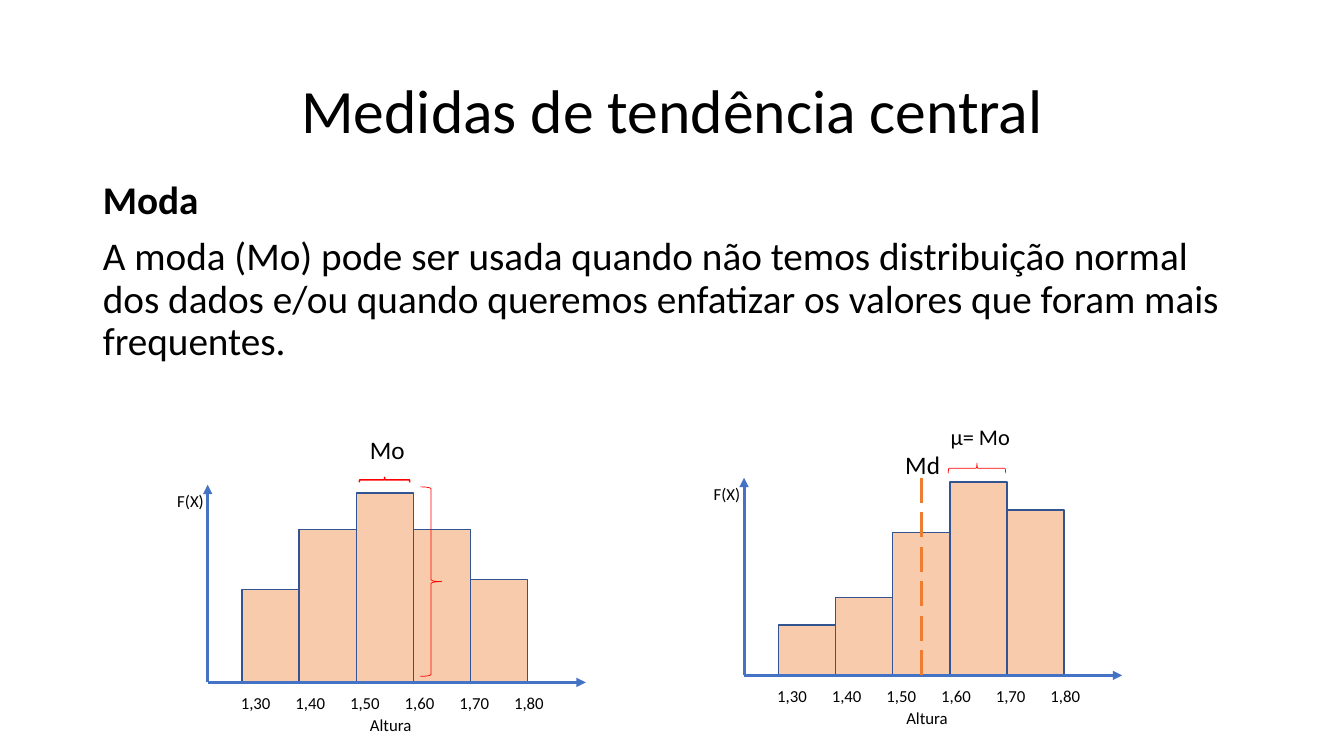
from lxml import etree
from pptx import Presentation
from pptx import util as u
from pptx.dml.color import RGBColor
from pptx.enum import dml, shapes, text
from pptx.oxml.ns import qn

TITLE = "Medidas de tendência central"
BODY = [
    ("Moda", True),
    ("A moda (Mo) pode ser usada quando não temos distribuição normal dos dados "
     "e/ou quando queremos enfatizar os valores que foram mais frequentes.", False),
]
HEIGHTS = ["1,30", "1,40", "1,50", "1,60", "1,70", "1,80"]
HISTOGRAMS = [
    {"origin": (7.38, 6.7), "bars": [0.5, 0.77, 1.42, 1.92, 1.64]},
    {"origin": (2.06, 6.77), "bars": [0.92, 1.52, 1.88, 1.52, 1.02]},
]
BRACES = [
    ((9.64, 4.36, 0.1, 0.57), 270, 0.5),
    ((3.79, 4.51, 0.05, 0.5), 270, 1),
    ((4.17, 4.83, 0.21, 1.88), 0, 0.5),
]
MARKS = [
    ("µ= Mo", (9.33, 4.15, 0.8, 0.37), 16),
    ("Md", (8.88, 4.41, 0.55, 0.4), 18),
    ("Mo", (3.57, 4.26, 0.55, 0.4), 18),
]
MEDIAN = (9.14, 6.7, 9.14, 4.7)

FONT, BLACK = "Calibri", "000000"
AXIS, BAR, BAR_EDGE, RED, ORANGE = "4472C4", "F8CBAD", "325491", "FF0000", "ED7D31"
AXIS_WIDTH, AXIS_HEIGHT = 3.75, 1.96
BAR_START, BAR_WIDTH = 0.34, 0.567
TICK_START, TICK_STEP = 0.23, 0.542


def inches(lengths):
    return [u.Inches(length) for length in lengths]


def rgb(value):
    return RGBColor.from_string(value)


def style(paragraph, size, bold=False):
    paragraph.font.name = FONT
    paragraph.font.size = u.Pt(size)
    paragraph.font.bold = bold
    paragraph.font.color.rgb = rgb(BLACK)


def outline(part, color, width):
    part.line.color.rgb = rgb(color)
    part.line.width = u.Pt(width)


def add_label(parent, words, box, size=12):
    label = parent.add_textbox(*inches(box))
    frame = label.text_frame
    frame.word_wrap = False
    frame.auto_size = text.MSO_AUTO_SIZE.SHAPE_TO_FIT_TEXT
    frame.text = words
    style(frame.paragraphs[0], size)


def add_line(parent, ends, color, arrow=False):
    line = parent.add_connector(shapes.MSO_CONNECTOR.STRAIGHT, *inches(ends))
    outline(line, color, 2.25)
    properties = line._element.spPr
    if arrow:
        etree.SubElement(properties.find(qn("a:ln")), qn("a:tailEnd"), type="triangle")
    etree.SubElement(properties, qn("a:effectLst"))
    return line


def add_preset(parent, preset, box, edge, width, fill=None):
    part = parent.add_shape(preset, *inches(box))
    part.shadow.inherit = False
    if fill:
        part.fill.solid()
        part.fill.fore_color.rgb = rgb(fill)
    else:
        part.fill.background()
    outline(part, edge, width)
    return part


def add_histogram(slide, origin, bars):
    x, y = origin
    group = slide.shapes.add_group_shape().shapes
    add_line(group, (x, y, x, y - AXIS_HEIGHT), AXIS, arrow=True)
    for i, height in enumerate(HEIGHTS):
        add_label(group, height, (x + TICK_START + i * TICK_STEP, y + 0.05, 0.5, 0.3))
    for i, bar in enumerate(bars):
        box = (x + BAR_START + i * BAR_WIDTH, y - bar, BAR_WIDTH, bar)
        add_preset(group, shapes.MSO_SHAPE.RECTANGLE, box, BAR_EDGE, 1, BAR)
    add_line(group, (x, y, x + AXIS_WIDTH, y), AXIS, arrow=True)
    add_label(group, "F(X)", (x - 0.4, y - 1.95, 0.47, 0.3))
    add_label(group, "Altura", (x + 1.51, y + 0.27, 0.62, 0.3))


def place(holder, box, anchor):
    holder.left, holder.top, holder.width, holder.height = inches(box)
    holder.text_frame.vertical_anchor = anchor
    holder.text_frame.auto_size = text.MSO_AUTO_SIZE.NONE
    return holder.text_frame


def main():
    deck = Presentation()
    deck.slide_width, deck.slide_height = inches((13.33, 7.5))
    slide = deck.slides.add_slide(deck.slide_layouts[1])

    title = place(slide.shapes.title, (0.92, 0.4, 11.5, 1.45), text.MSO_ANCHOR.MIDDLE)
    title.text = TITLE
    title.paragraphs[0].alignment = text.PP_ALIGN.CENTER
    title.paragraphs[0].line_spacing = 0.9
    style(title.paragraphs[0], 44)

    body = place(slide.placeholders[1], (0.92, 1.74, 11.5, 2.65), text.MSO_ANCHOR.TOP)
    body.text = "\n".join(words for words, _ in BODY)
    for i, (paragraph, (_, bold)) in enumerate(zip(body.paragraphs, BODY)):
        paragraph.line_spacing = 0.9
        paragraph.space_before = u.Pt(10 if i else 0)
        properties = paragraph._p.get_or_add_pPr()
        properties.set("marL", "0")
        properties.set("indent", "0")
        etree.SubElement(properties, qn("a:buNone"))
        style(paragraph, 28, bold)

    for histogram in HISTOGRAMS:
        add_histogram(slide, **histogram)
    for box, turn, width in BRACES:
        brace = add_preset(slide.shapes, shapes.MSO_SHAPE.RIGHT_BRACE, box, RED, width)
        brace.rotation = turn
    median = add_line(slide.shapes, MEDIAN, ORANGE)
    median.line.dash_style = dml.MSO_LINE.LONG_DASH
    for words, box, size in MARKS:
        add_label(slide.shapes, words, box, size)

    deck.save("out.pptx")


if __name__ == "__main__":
    main()
